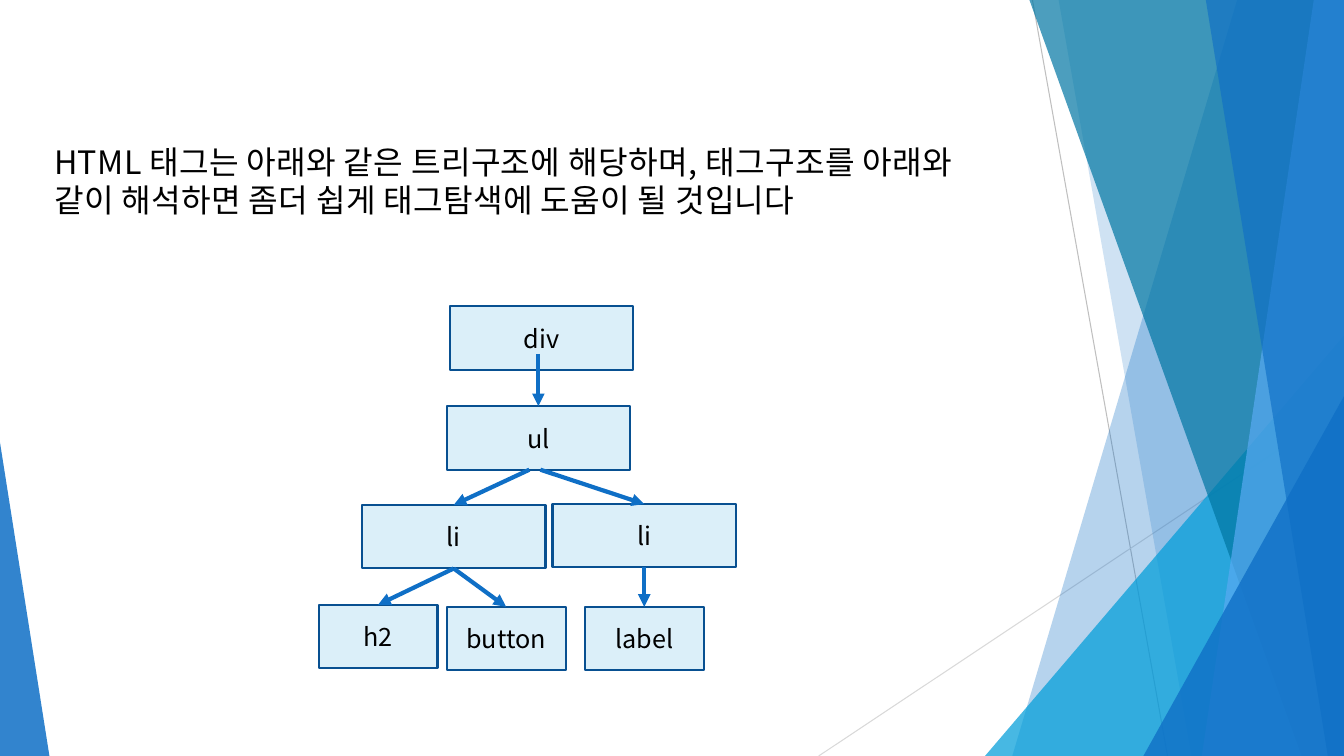
from lxml import etree
from pptx import Presentation
from pptx.dml.color import RGBColor
from pptx.enum import shapes, text
from pptx.oxml.ns import qn
from pptx.util import Inches, Pt

W, H = 13.33, 7.5

THEME = {
    "font": "Noto Sans CJK KR", "text": "000000",
    "body_size": 23, "body_pitch": 27.4, "body_tracking": 0.2, "node_size": 18,
    "node_fill": "DBEFF9", "node_line": "085091", "arrow": "0F6FC6",
    "blue": "0F6FC6", "cyan": "009DD9", "teal": "0076A3", "sky": "59AAF2",
    "grey": "BFBFBF", "pale_grey": "D9D9D9",
}

BODY = "HTML 태그는 아래와 같은 트리구조에 해당하며, 태그구조를 아래와 같이 해석하면 좀더 쉽게 태그탐색에 도움이 될 것입니다"

# Thin lines: start, end, colour
HAIRLINES = [
    ((10.24, 0), (11.58, H), "grey"),
    ((W, 4.03), (8.12, H), "pale_grey"),
]
# Bands reach the right edge: ("band", top x, bottom x, colour, opacity %)
# Wedges stand on the bottom edge: ("wedge", left, top, width, apex, colour, opacity %)
FACETS = [
    ("band", 12.27, 10.04, "blue", 30),
    ("band", 10.5, 11.82, "blue", 20),
    ("wedge", 9.77, 3.33, 3.56, 1, "cyan", 72),
    ("band", 10.21, 12.91, "teal", 70),
    ("band", 13.03, 11.92, "sky", 70),
    ("band", 11.96, 13.17, "blue", 65),
    ("wedge", 11.34, 3.93, 1.99, 1, "blue", 80),
    ("wedge", 0, 4.39, 0.49, 0, "blue", 85),
]

NODE_H, WIDE, NARROW = 0.63, 1.82, 1.18
# key: label, left, top, width
NODES = {
    "div": ("div", 4.46, 3.04, WIDE),
    "ul": ("ul", 4.43, 4.03, WIDE),
    "li_left": ("li", 3.59, 5.01, WIDE),
    "li_right": ("li", 5.48, 5, WIDE),
    "h2": ("h2", 3.16, 6, NARROW),
    "button": ("button", 4.43, 6.02, NARROW),
    "label": ("label", 5.8, 6.02, NARROW),
}
# Parent, child, start point when it is not the middle of the parent's bottom side
EDGES = [
    ("div", "ul", (5.34, 3.51)),
    ("ul", "li_left", (5.25, 4.66)),
    ("ul", "li_right", (5.36, 4.66)),
    ("li_left", "h2", None),
    ("li_left", "button", None),
    ("li_right", "label", None),
]


def color(name):
    return RGBColor.from_string(THEME[name])


def add_line(sp_tree, start, end, color_name, width):
    line = sp_tree.add_connector(shapes.MSO_CONNECTOR.STRAIGHT,
                                 *(Inches(v) for v in (*start, *end)))
    line.line.color.rgb = color(color_name)
    line.line.width = Pt(width)
    etree.SubElement(line._element.spPr, qn("a:effectLst"))
    return line


def paint_facet(sp, color_name, opacity):
    sp.shadow.inherit = False
    sp.fill.solid()
    sp.fill.fore_color.rgb = color(color_name)
    sp.line.fill.background()
    clr = sp._element.spPr.find(qn("a:solidFill"))[0]
    etree.SubElement(clr, qn("a:alpha"), val=str(opacity * 1000))


def write(tf, content, size, tracking=0):
    tf.word_wrap = True
    tf.text = content
    p = tf.paragraphs[0]
    r = p.runs[0]
    r.font.size = Pt(size)
    r.font.name = THEME["font"]
    r.font.color.rgb = color("text")
    r_pr = r._r.get_or_add_rPr()
    r_pr.set("spc", str(round(tracking * 100)))
    etree.SubElement(r_pr, qn("a:ea"), typeface=THEME["font"])
    return p


def add_facet(sp_tree, kind, *values):
    *geometry, color_name, opacity = values
    if kind == "band":
        top_x, bottom_x = geometry
        outline = sp_tree.build_freeform(Inches(top_x), 0)
        corners = [(W, 0), (W, H), (bottom_x, H)]
        outline.add_line_segments([(Inches(x), Inches(y)) for x, y in corners])
        sp = outline.convert_to_shape()
    else:
        left, top, width, apex = geometry
        sp = sp_tree.add_shape(shapes.MSO_SHAPE.ISOSCELES_TRIANGLE, Inches(left),
                               Inches(top), Inches(width), Inches(H - top))
        sp.adjustments[0] = apex
    paint_facet(sp, color_name, opacity)


def add_node(sp_tree, label, left, top, width):
    sp = sp_tree.add_shape(shapes.MSO_SHAPE.RECTANGLE, Inches(left), Inches(top),
                           Inches(width), Inches(NODE_H))
    sp.shadow.inherit = False
    sp.fill.solid()
    sp.fill.fore_color.rgb = color("node_fill")
    sp.line.color.rgb = color("node_line")
    sp.line.width = Pt(1.5)
    sp.text_frame.vertical_anchor = text.MSO_ANCHOR.MIDDLE
    write(sp.text_frame, label, THEME["node_size"]).alignment = text.PP_ALIGN.CENTER
    return sp


def main():
    prs = Presentation()
    prs.slide_width, prs.slide_height = Inches(W), Inches(H)
    sp_tree = prs.slides.add_slide(prs.slide_layouts[6]).shapes

    # Decorative background
    for start, end, color_name in HAIRLINES:
        add_line(sp_tree, start, end, color_name, 0.75)
    for facet in FACETS:
        add_facet(sp_tree, *facet)

    # Explanation
    box = sp_tree.add_textbox(Inches(0.44), Inches(0.84), Inches(9.92), Inches(2.89))
    box.text_frame.margin_top = Inches(0.57)
    box.text_frame.margin_right = Inches(0.4)
    p = write(box.text_frame, BODY, THEME["body_size"], THEME["body_tracking"])
    p.line_spacing = Pt(THEME["body_pitch"])

    # Tag tree
    nodes = {key: add_node(sp_tree, *node) for key, node in NODES.items()}
    for parent, child, start in EDGES:
        arrow = add_line(sp_tree, start or (0, 0), (0, 0), "arrow", 3)
        if start is None:
            arrow.begin_connect(nodes[parent], 2)
        arrow.end_connect(nodes[child], 0)
        etree.SubElement(arrow.line._get_or_add_ln(), qn("a:tailEnd"), type="triangle")

    prs.save("out.pptx")


if __name__ == "__main__":
    main()
